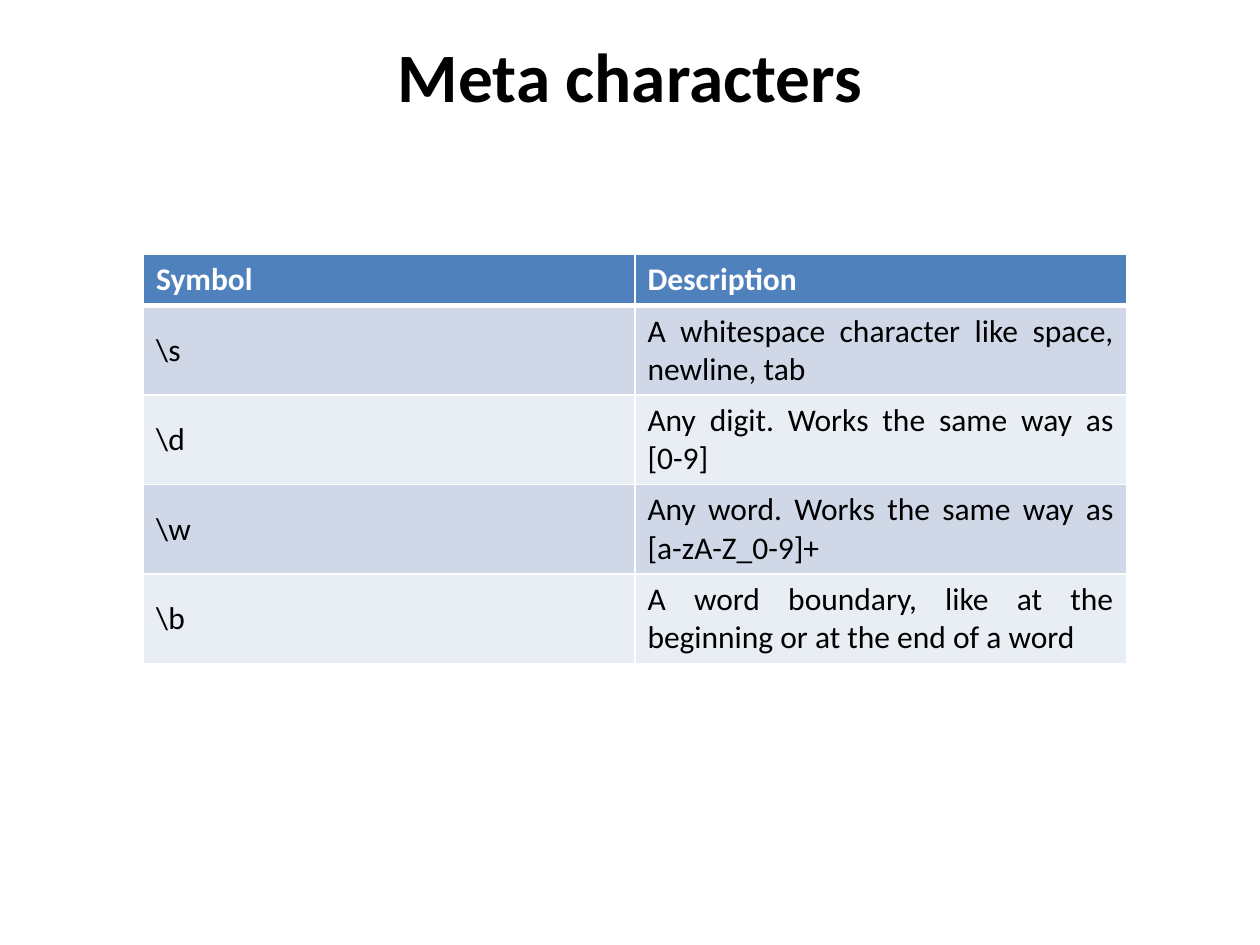
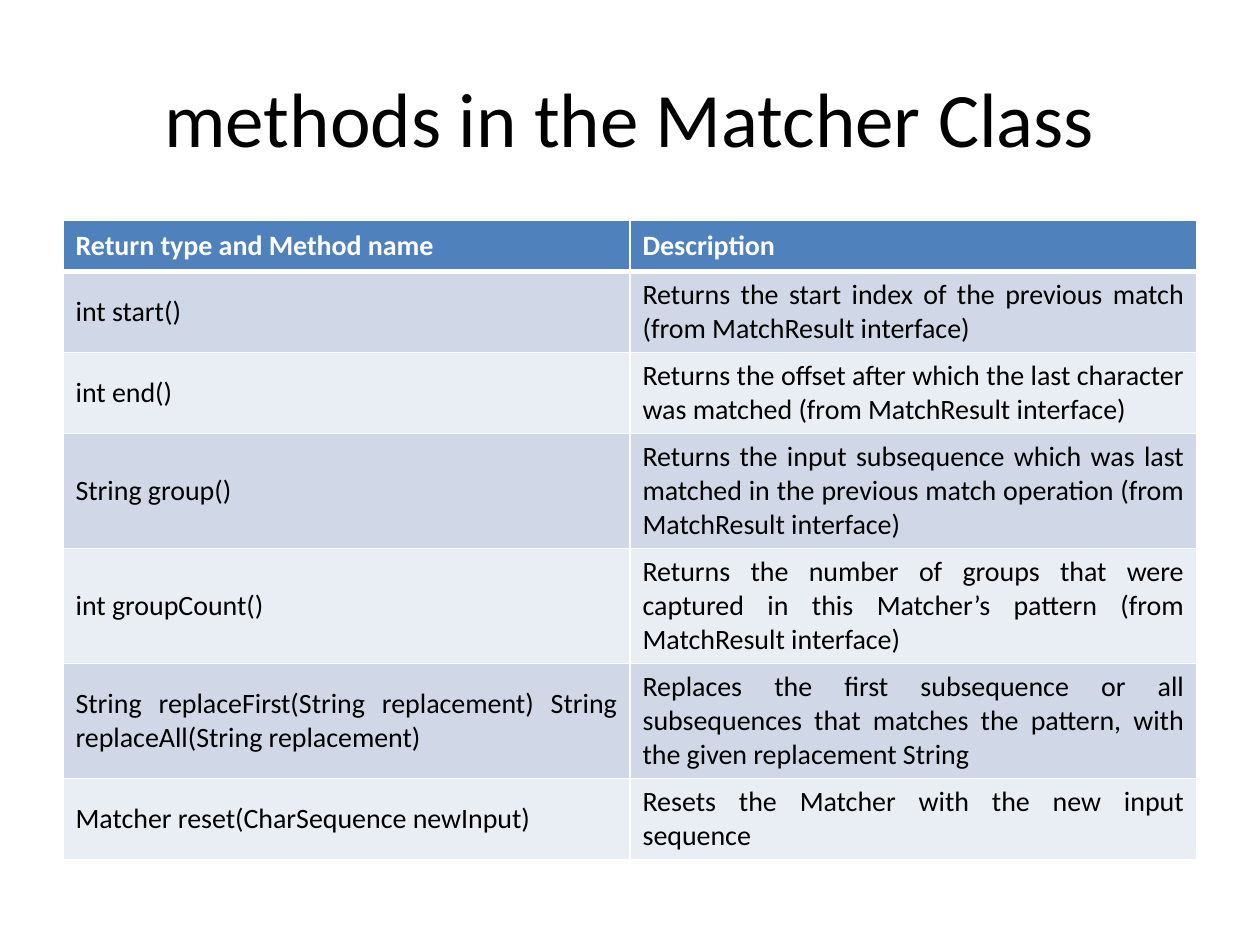
from lxml import etree
from pptx import Presentation
from pptx.dml.color import RGBColor
from pptx.enum.text import MSO_ANCHOR, PP_ALIGN
from pptx.oxml.ns import qn
from pptx.util import Pt

MIDDLE = MSO_ANCHOR.MIDDLE
CENTER, JUSTIFY = PP_ALIGN.CENTER, PP_ALIGN.JUSTIFY
BLACK = RGBColor(0x00, 0x00, 0x00)
WHITE = RGBColor(0xFF, 0xFF, 0xFF)
HEAD = RGBColor(0x4F, 0x81, 0xBD)
BANDS = RGBColor(0xE9, 0xED, 0xF4), RGBColor(0xD0, 0xD8, 0xE8)
FACE = "Calibri"
HEAD_HIGH = 29.2
LEADING = 1.22
PAD = 7.2

SLIDES = [
    {
        "title": "Meta characters",
        "style": {"size": Pt(39.6), "bold": True},
        "box": (36, 14, 648, 57),
        "spot": (82, 145.5), "wide": 561.6, "size": 18,
        "heads": ("Symbol", "Description"),
        "rows": [
            ("\\s", "A whitespace character like space, newline, tab", 2),
            ("\\d", "Any digit. Works the same way as [0-9]", 2),
            ("\\w", "Any word. Works the same way as [a-zA-Z_0-9]+", 2),
            ("\\b", "A word boundary, like at the beginning or at the end of a word", 2),
        ],
    },
    {
        "title": "methods in the Matcher Class",
        "style": {"size": Pt(44), "bold": False},
        "box": (36, 21.6, 648, 90),
        "spot": (36, 126), "wide": 648, "size": 16,
        "heads": ("Return type and Method name", "Description"),
        "rows": [
            ("int start()", "Returns the start index of the previous match "
             "(from MatchResult interface)", 2),
            ("int end()", "Returns the offset after which the last character "
             "was matched (from MatchResult interface)", 2),
            ("String group()", "Returns the input subsequence which was last "
             "matched in the previous match operation (from MatchResult interface)", 3),
            ("int groupCount()", "Returns the number of groups that were "
             "captured in this Matcher’s pattern (from MatchResult interface)", 3),
            ("String replaceFirst(String replacement) String replaceAll(String replacement)",
             "Replaces the first subsequence or all subsequences that matches "
             "the pattern, with the given replacement String", 3),
            ("Matcher reset(CharSequence newInput)",
             "Resets the Matcher with the new input sequence", 2),
        ],
    },
]


def write(frame, text, align, color, style):
    para = frame.paragraphs[0]
    para.alignment = align
    run = para.add_run()
    run.text = text
    for key, value in {"name": FACE, **style}.items():
        setattr(run.font, key, value)
    run.font.color.rgb = color


def add_title(slide, data):
    box = slide.shapes.add_textbox(*map(Pt, data["box"]))
    frame = box.text_frame
    frame.word_wrap = True
    frame.vertical_anchor = MIDDLE
    write(frame, data["title"], CENTER, BLACK, data["style"])


def add_edges(cell, row):
    props = cell._tc.get_or_add_tcPr()
    widths = {"lnL": 1, "lnR": 1, "lnT": 3 if row == 1 else 1, "lnB": 3 if row == 0 else 1}
    for tag, width in widths.items():
        line = etree.SubElement(props, qn("a:" + tag), w=str(Pt(width)))
        fill = etree.SubElement(line, qn("a:solidFill"))
        etree.SubElement(fill, qn("a:srgbClr"), val=str(WHITE))


def add_grid(slide, data):
    size, wide = data["size"], data["wide"]
    rows = [data["heads"]] + [row[:2] for row in data["rows"]]
    highs = [HEAD_HIGH] + [round(row[2] * size * LEADING + PAD, 2) for row in data["rows"]]
    left, top = data["spot"]
    area = map(Pt, (left, top, wide, sum(highs)))
    table = slide.shapes.add_table(len(rows), 2, *area).table
    for col in table.columns:
        col.width = Pt(wide / 2)
    for i, (texts, high) in enumerate(zip(rows, highs)):
        table.rows[i].height = Pt(high)
        first = i == 0
        for j, text in enumerate(texts):
            cell = table.cell(i, j)
            cell.vertical_anchor = MIDDLE
            add_edges(cell, i)
            cell.fill.solid()
            cell.fill.fore_color.rgb = HEAD if first else BANDS[i % 2]
            write(cell.text_frame, text, JUSTIFY, WHITE if first else BLACK,
                  {"size": Pt(size), "bold": first})


def main():
    deck = Presentation()
    deck.slide_width, deck.slide_height = Pt(720), Pt(540)
    for data in SLIDES:
        slide = deck.slides.add_slide(deck.slide_layouts[6])
        add_title(slide, data)
        add_grid(slide, data)
    deck.save("out.pptx")


if __name__ == "__main__":
    main()
